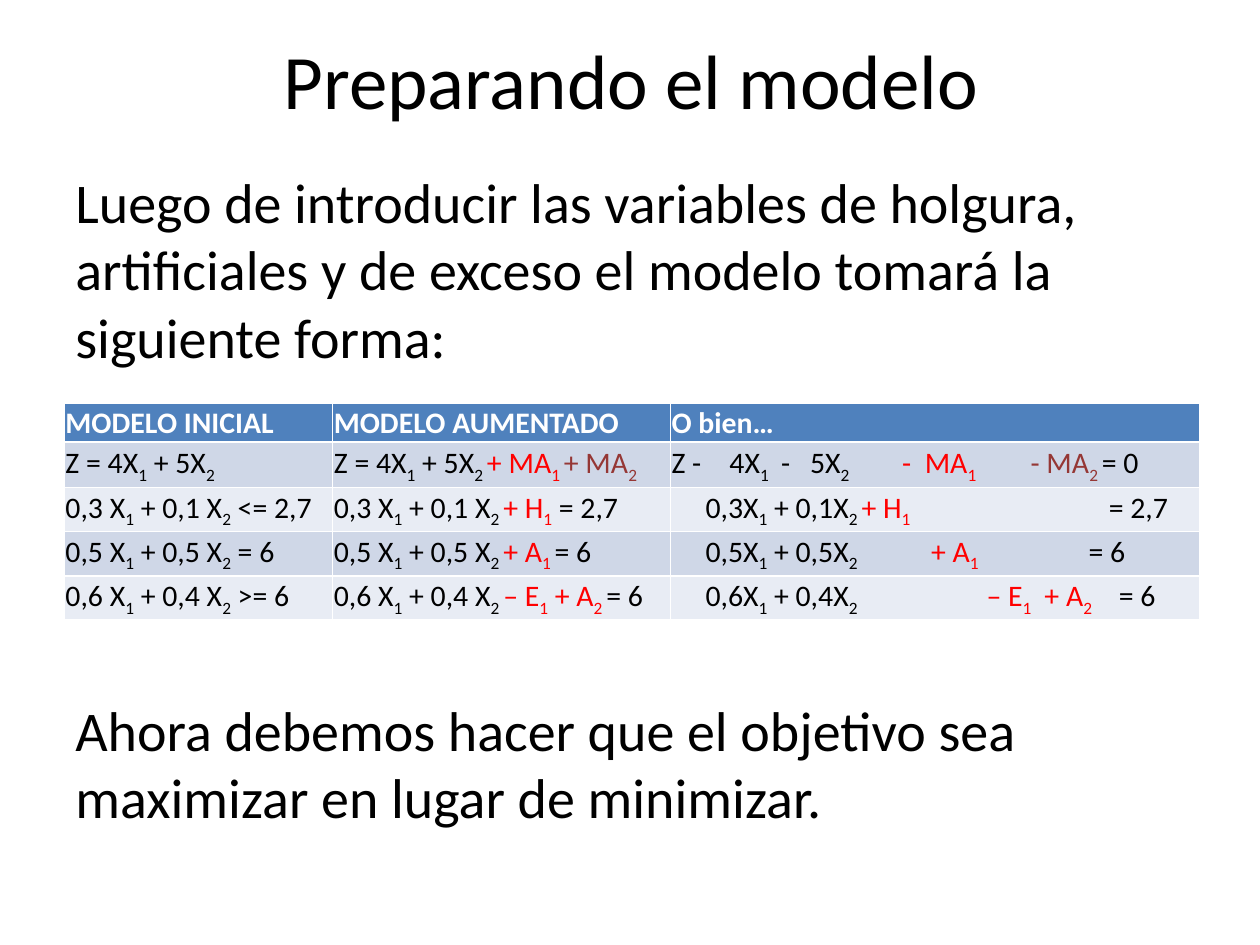
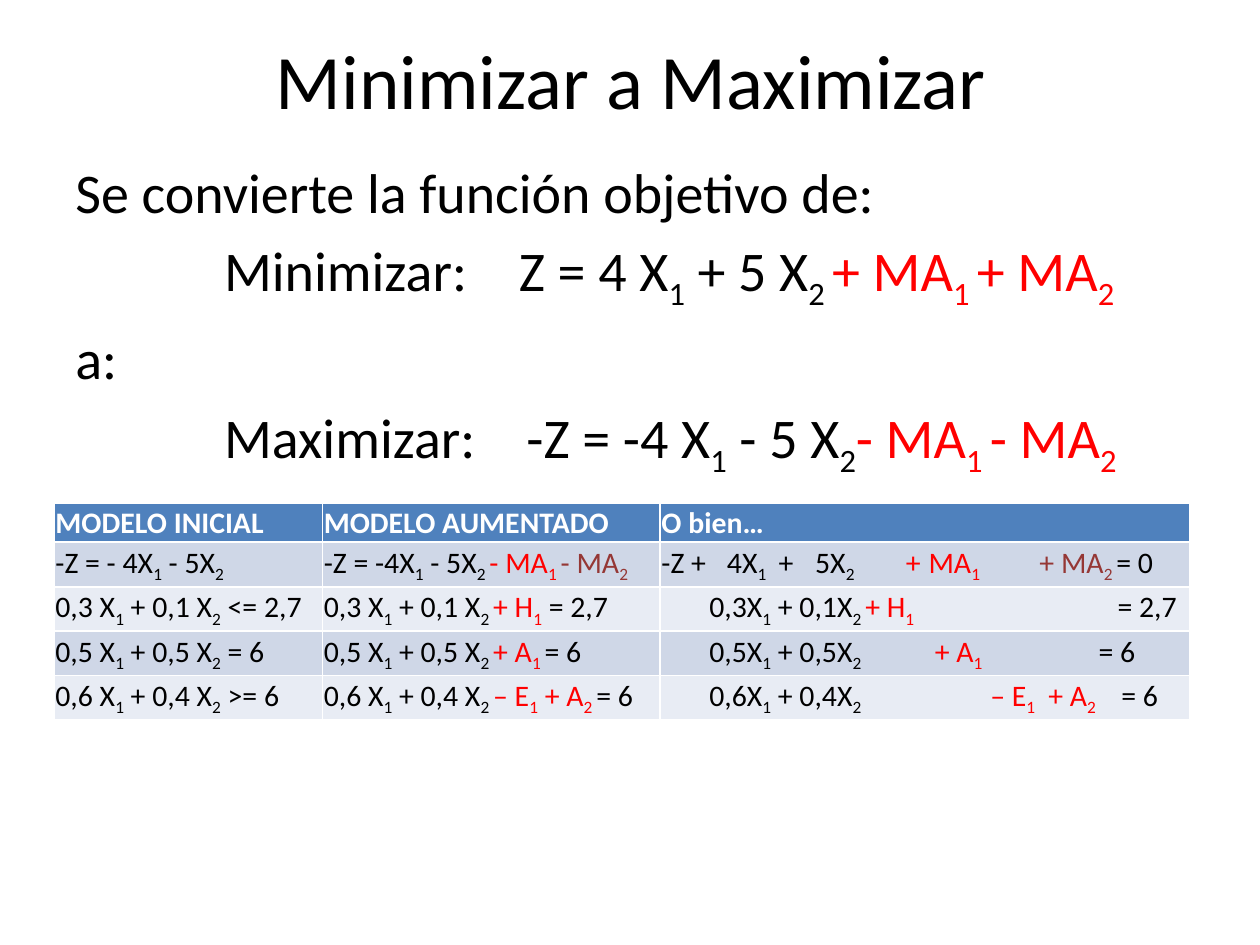
"""Build two slides on preparing a linear model for the big-M method."""
import pptx
import pptx.dml.color
import pptx.enum.text
import pptx.oxml
import pptx.oxml.ns
import pptx.util

Inches = pptx.util.Inches
Pt = pptx.util.Pt
Anchor = pptx.enum.text.MSO_ANCHOR
Align = pptx.enum.text.PP_ALIGN

FONT = "Calibri"
HUES = {"k": "000000", "r": "FF0000", "b": "953735", "w": "FFFFFF",
        "head": "4F81BD", "odd": "CFD7E7", "even": "E8ECF4"}
NS = pptx.oxml.ns.nsdecls("a")

HEADS = ["MODELO INICIAL", "MODELO AUMENTADO", "O bien…"]
LIMITS = [
    ["0,3 X_1_ + 0,1 X_2_ <= 2,7",
     "0,3 X_1_ + 0,1 X_2 _^r+ H_1_^k = 2,7",
     "\t0,3X_1_ + 0,1X_2 _^r+ H_1_^k\t= 2,7"],
    ["0,5 X_1_ + 0,5 X_2_ = 6",
     "0,5 X_1_ + 0,5 X_2 _^r+ A_1 _^k= 6",
     "\t0,5X_1_ + 0,5X_2_\t^r+ A_1_^k\t= 6"],
    ["0,6 X_1_ + 0,4 X_2_ >= 6",
     "0,6 X_1_ + 0,4 X_2 _^r– E_1_ + A_2 _^k= 6",
     "\t0,6X_1_ + 0,4X_2_\t^r– E_1_\t+ A_2_^k\t= 6"],
]
COLS = [2.13, 2.68, 4.2]
ROWS = [0.31, 0.36, 0.35, 0.35, 0.35]


def color(key):
    """Return the named colour."""
    return pptx.dml.color.RGBColor.from_string(HUES[key])


def write(frame, text, size=32, ink="k", bold=False, align=Align.LEFT, tabs=()):
    """Add a paragraph; ^x switches to colour x and _..._ marks a subscript."""
    para = frame.paragraphs[0]
    if para.runs:
        para = frame.add_paragraph()
        para.space_before = Pt(6.4)
    para.alignment = align
    if tabs:
        stops = "".join(f'<a:tab pos="{Inches(tab)}" algn="l"/>' for tab in tabs)
        props = para._p.get_or_add_pPr()
        props.append(pptx.oxml.parse_xml(f"<a:tabLst {NS}>{stops}</a:tabLst>"))
    for part in (ink + text).split("^"):
        for index, piece in enumerate(part[1:].split("_")):
            if not piece:
                continue
            run = para.add_run()
            run.text = piece
            font = run.font
            font.name, font.size, font.bold = FONT, Pt(size), bold
            font.color.rgb = color(part[0])
            if index % 2:
                run._r.get_or_add_rPr().set("baseline", "-25000")


def add_box(slide, left, top, width, height, anchor=Anchor.TOP):
    """Add a wrapping text box and return its frame."""
    box = slide.shapes.add_textbox(*map(Inches, (left, top, width, height)))
    frame = box.text_frame
    frame.word_wrap = True
    frame.vertical_anchor = anchor
    frame.margin_left = frame.margin_right = Inches(0.1)
    frame.margin_top = frame.margin_bottom = Inches(0.1)
    return frame


def add_page(deck, title):
    """Add a blank slide with a centred title."""
    slide = deck.slides.add_slide(deck.slide_layouts[6])
    frame = add_box(slide, 0.51, 0, 9, 1.25, Anchor.MIDDLE)
    write(frame, title, size=44, align=Align.CENTER)
    return slide


def edge(cell, row):
    """Draw white borders, thicker below the head row."""
    thick = {(0, "B"), (1, "T")}
    for side in "LRTB":
        width = Pt(1.5 if (row, side) in thick else 1)
        cell._tc.get_or_add_tcPr().append(pptx.oxml.parse_xml(
            f'<a:ln{side} {NS} w="{width}"><a:solidFill><a:srgbClr '
            f'val="{HUES["w"]}"/></a:solidFill></a:ln{side}>'))


def add_model(slide, left, top, goal, stops):
    """Add the model table from its goal row and the tab stops of each row."""
    rows = [HEADS, goal, *LIMITS]
    shape = slide.shapes.add_table(len(rows), len(COLS), Inches(left), Inches(top),
                                   Inches(sum(COLS)), Inches(sum(ROWS)))
    table = shape.table
    for col, width in zip(table.columns, COLS):
        col.width = Inches(width)
    for r, (texts, height) in enumerate(zip(rows, ROWS)):
        table.rows[r].height = Inches(height)
        fill = "head" if r == 0 else "odd" if r % 2 else "even"
        for c, text in enumerate(texts):
            cell = table.cell(r, c)
            cell.margin_left = cell.margin_right = cell.margin_top = Inches(0.01)
            cell.margin_bottom = 0
            cell.vertical_anchor = Anchor.MIDDLE
            edge(cell, r)
            cell.fill.solid()
            cell.fill.fore_color.rgb = color(fill)
            write(cell.text_frame, text, size=17, ink="k" if r else "w", bold=r == 0,
                  tabs=stops[r - 1] if r and c == 2 else ())


def add_prep(deck):
    """Add the slide that sets up the model."""
    slide = add_page(deck, "Preparando el modelo")
    write(add_box(slide, 0.5, 1.23, 9, 1.85),
          "Luego de introducir las variables de holgura, artificiales y de exceso "
          "el modelo tomará la siguiente forma:")
    write(add_box(slide, 0.5, 5.42, 9, 1.3),
          "Ahora debemos hacer que el objetivo sea maximizar en lugar de minimizar.")
    goal = ["Z = 4X_1_ + 5X_2_",
            "Z = 4X_1_ + 5X_2 _^r+ MA_1 _^b+ MA_2_",
            "Z -\t4X_1_\t-\t5X_2_\t^r-\tMA_1_\t^b- MA_2 _^k= 0"]
    add_model(slide, 0.51, 3.2, goal,
              [(0.46, 0.87, 1.1, 1.83, 2.01, 2.85), (0.27, 3.47),
               (0.27, 2.06, 3.31), (0.27, 2.5, 2.96, 3.55)])


def add_switch(deck):
    """Add the slide that turns the goal from min to max."""
    slide = add_page(deck, "Minimizar a Maximizar")
    frame = add_box(slide, 0.5, 1.15, 9, 2.83)
    write(frame, "Se convierte la función objetivo de:")
    write(frame, "\tMinimizar:\tZ = 4 X_1_ + 5 X_2 _^r+ MA_1 _+ MA_2_",
          tabs=(1.18, 3.52))
    write(frame, "a:")
    write(frame, "\tMaximizar:\t-Z = -4 X_1_ - 5 X_2_^r- MA_1 _- MA_2_",
          tabs=(1.18, 3.58))
    goal = ["-Z = - 4X_1_ - 5X_2_",
            "-Z = -4X_1_ - 5X_2 _^r- MA_1 _^b- MA_2_",
            "-Z +\t4X_1_\t+\t5X_2_\t^r+\tMA_1_\t^b+ MA_2 _^k= 0"]
    add_model(slide, 0.43, 3.99, goal,
              [(0.52, 0.93, 1.22, 1.94, 2.12, 3), (0.38, 3.62),
               (0.38, 2.17, 3.47), (0.38, 2.61, 3.07, 3.65)])


def main():
    """Build and save the deck."""
    deck = pptx.Presentation()
    deck.slide_width, deck.slide_height = Inches(10), Inches(7.5)
    add_prep(deck)
    add_switch(deck)
    deck.save("out.pptx")


if __name__ == "__main__":
    main()
